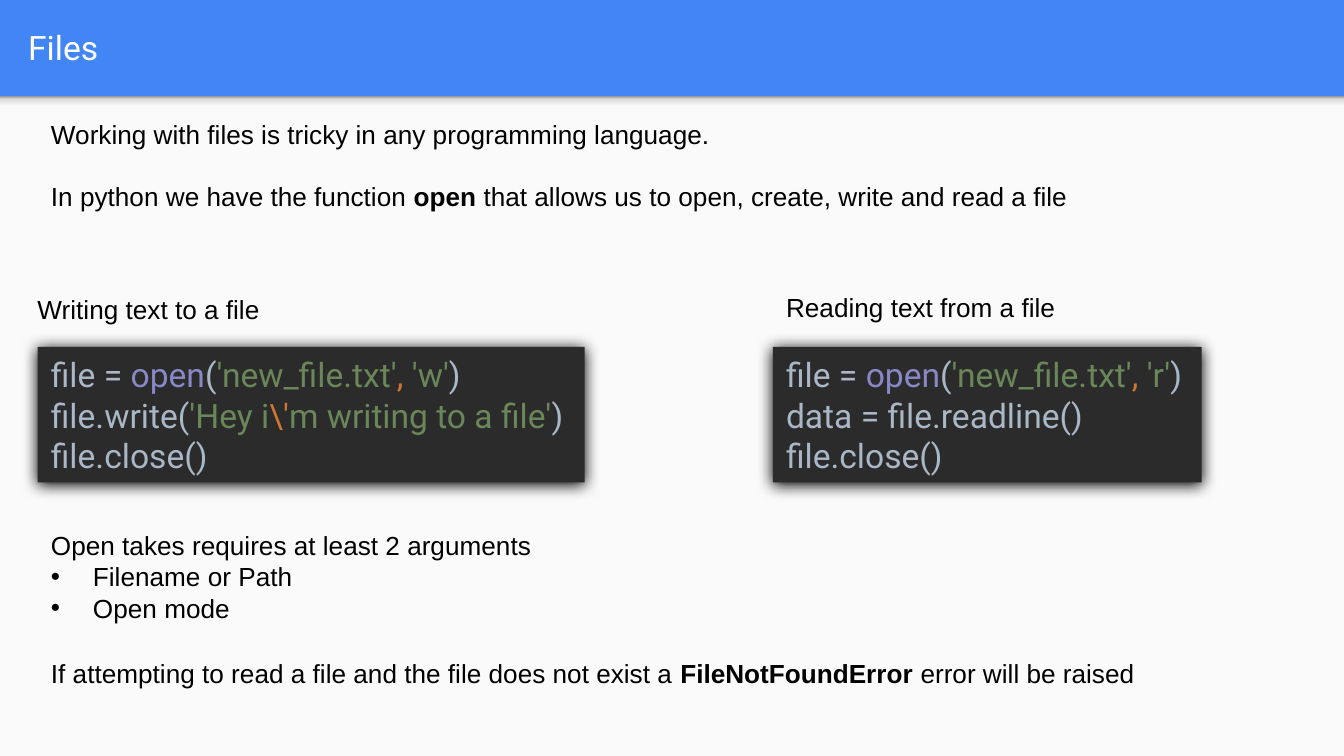
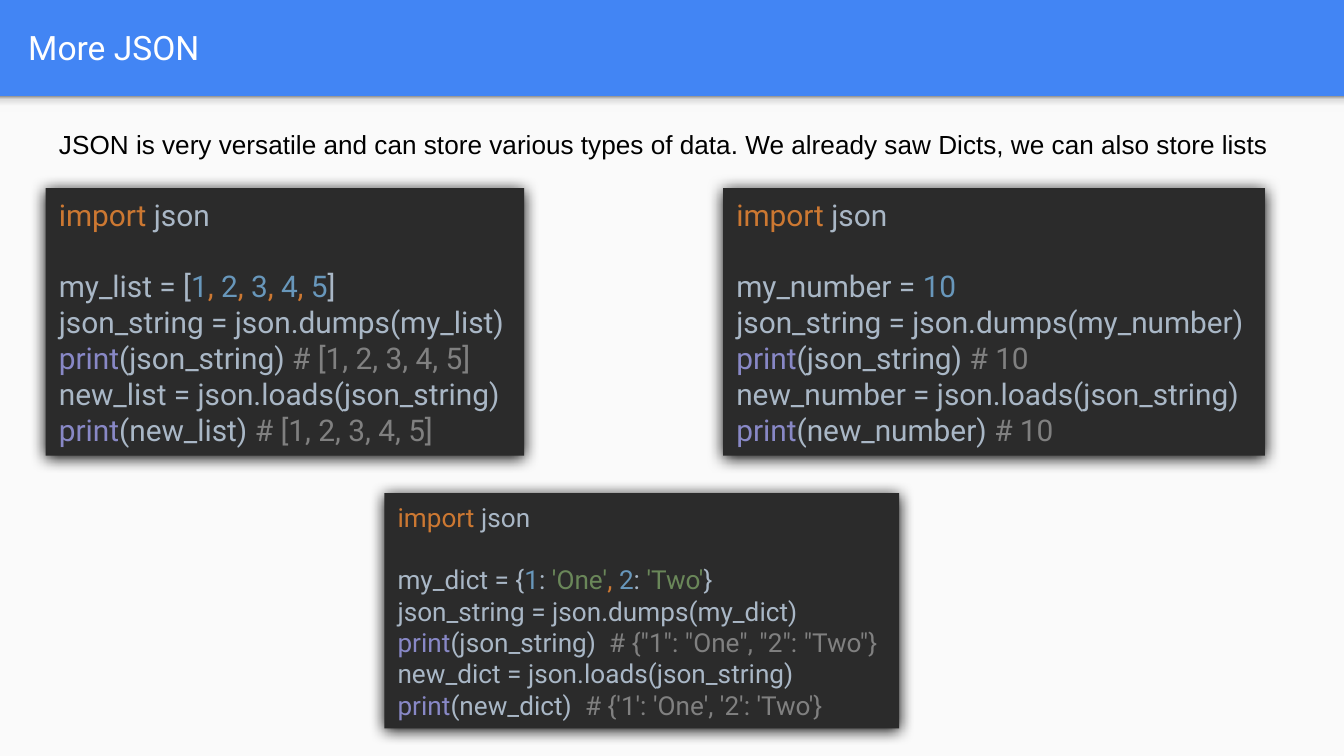
import pptx
import pptx.util
import pptx.dml.color
import pptx.enum.shapes
import pptx.enum.text
import pptx.oxml
from pptx.oxml.ns import nsdecls, qn

Pt = pptx.util.Pt
ANCHOR = pptx.enum.text.MSO_ANCHOR
FIT = pptx.enum.text.MSO_AUTO_SIZE.SHAPE_TO_FIT_TEXT

COLORS = {
    "band": "4285F4", "page": "FAFAFA", "white": "FFFFFF", "black": "000000",
    "code": "2B2B2B", "plain": "A9B7C6", "call": "8888C6", "text": "6A8759",
    "key": "CC7832", "num": "6897BB", "note": "808080",
}
EDGE = [(0, "F9F9F9"), (36, "F9F9F9"), (80, "DEDEDE"), (100, "999999")]
WIDE, HIGH, TOP = 720, 405, 51.6
BODY, CODE = "Arial", "Roboto"


def start(mode):
    """Tokens of the line that opens the file."""
    return [("plain", "file = "), ("call", "open"), ("plain", "("),
            ("text", "'new_file.txt'"), ("key", ", "), ("text", f"'{mode}'")]


def dump(kind, value, notes, gap=" "):
    """Paragraphs of the program that stores a value as JSON and loads it."""
    first, last = notes
    return [
        [("key", "import "), ("plain", "json")],
        [("plain", f"my_{kind} = "), *value,
         ("plain", f"\njson_string = json.dumps(my_{kind})\n"),
         ("call", "print"), ("plain", "(json_string)" + gap), ("note", first + "\n"),
         ("plain", f"new_{kind} = json.loads(json_string)\n"),
         ("call", "print"), ("plain", f"(new_{kind})" + gap), ("note", last)],
    ]


WRITE = [start("w") + [
    ("plain", ")\nfile.write("), ("text", "'Hey i"), ("key", "\\'"),
    ("text", "m writing to a file'"), ("plain", ")\nfile.close()")]]
READ = [start("r") + [("plain", ")\ndata = file.readline()\nfile.close()")]]

ITEMS = [("num", "1")]
for digit in "2345":
    ITEMS += [("key", ", "), ("num", digit)]
LIST = [("plain", "["), *ITEMS, ("plain", "]")]
DICT = [("plain", "{"), ("num", "1"), ("plain", ": "), ("text", "'One'"), ("key", ", "),
        ("num", "2"), ("plain", ": "), ("text", "'Two'"), ("plain", "}")]

# Texts: box, paragraphs (** marks bold, "• " a bullet), space between paragraphs
# Codes: box, font size, paragraphs
SLIDES = [
    {
        "title": "Files",
        "texts": [
            ((20.2, 59.8, 654.5, 108.7),
             ["Working with files is tricky in any programming language.",
              "In python we have the function **open** that allows us to open, "
              "create, write and read a file"], 16.5),
            ((20.2, 280.1, 641.5, 58.3),
             ["Open takes requires at least 2 arguments",
              "• Filename or Path", "• Open mode"], 0),
            ((20.2, 348.5, 654.5, 24.5),
             ["If attempting to read a file and the file does not exist a "
              "**FileNotFoundError **error will be raised"], 0),
            ((13, 153.4, 254.2, 24.5), ["Writing text to a file"], 0),
            ((414, 152.6, 229.7, 24.5), ["Reading text from a file"], 0),
        ],
        "codes": [((20.2, 185.8, 293, 72.7), 18, WRITE),
                  ((414, 185.8, 229.7, 72.7), 18, READ)],
    },
    {
        "title": "More JSON",
        "texts": [
            ((24.5, 65.5, 666, 24.5),
             ["JSON is very versatile and can store various types of data. "
              "We already saw Dicts, we can also store lists"], 0),
        ],
        "codes": [
            ((24.5, 100.8, 256.3, 143.3), 16,
             dump("list", LIST, ["# [1, 2, 3, 4, 5]"] * 2)),
            ((387.4, 100.8, 290.2, 143.3), 16,
             dump("number", [("num", "10")], ["# 10"] * 2)),
            ((205.9, 264.2, 275.8, 126), 14,
             dump("dict", DICT, ['# {"1": "One", "2": "Two"}',
                                 "# {'1': 'One', '2': 'Two'}"], "  ")),
        ],
    },
]


def rgb(name):
    return pptx.dml.color.RGBColor.from_string(COLORS[name])


def xml(tag, body):
    """Parse one drawing element: its tag with attributes, then its content."""
    name = tag.split()[0]
    return pptx.oxml.parse_xml(f"<a:{tag} {nsdecls('a')}>{body}</a:{name}>")


def tint(value):
    return f'<a:srgbClr val="{value}"/>'


def write(par, text, font, size, color, bold=None):
    """Add text as runs, with a line break at each newline."""
    for row, part in enumerate(text.split("\n")):
        if row:
            par.add_line_break()
        if part:
            run = par.add_run()
            run.text = part
            run.font.name, run.font.size, run.font.bold = font, Pt(size), bold
            run.font.color.rgb = rgb(color)


def pars(frame, count, gap):
    """Give a frame its paragraphs, spaced by gap."""
    for num in range(count):
        par = frame.add_paragraph() if num else frame.paragraphs[0]
        par.alignment = pptx.enum.text.PP_ALIGN.LEFT
        if num and gap:
            par.space_before = Pt(gap)
        yield par


def block(slide, box, color):
    shape = slide.shapes.add_shape(
        pptx.enum.shapes.MSO_SHAPE.RECTANGLE, *map(Pt, box))
    shape.fill.solid()
    shape.fill.fore_color.rgb = rgb(color)
    shape.line.fill.background()
    shape.shadow.inherit = False
    return shape


def frame(slide, title):
    """Add the page, the shaded edge under the band, and the title."""
    block(slide, (0, TOP, WIDE, HIGH - TOP), "page")
    edge = block(slide, (0, TOP, WIDE, 8.6), "page")
    stops = "".join(f'<a:gs pos="{at * 1000}">{tint(value)}</a:gs>' for at, value in EDGE)
    props = edge.element.spPr
    props.replace(props.find(qn("a:solidFill")), xml(
        "gradFill", f'<a:gsLst>{stops}</a:gsLst><a:lin ang="16200000" scaled="0"/>'))

    head = slide.shapes.title
    head.left, head.top, head.width, head.height = map(Pt, (7.9, 1.4, 694.8, 47.5))
    area = head.text_frame
    area.margin_left = area.margin_right = area.margin_top = area.margin_bottom = Pt(7.2)
    area.vertical_anchor = ANCHOR.MIDDLE
    area.auto_size = pptx.enum.text.MSO_AUTO_SIZE.NONE
    for par in pars(area, 1, 0):
        write(par, title, CODE, 18, "white")


def note(slide, box, lines, gap):
    """Add a text box of body text."""
    area = slide.shapes.add_textbox(*map(Pt, box)).text_frame
    area.word_wrap = True
    area.auto_size = FIT
    for par, line in zip(pars(area, len(lines), gap), lines):
        if line.startswith("• "):
            line = line[2:]
            props = par._p.get_or_add_pPr()
            props.set("marL", str(Pt(22.5)))
            props.set("indent", str(-Pt(22.5)))
            props.append(xml("buClr", tint(COLORS["black"])))
            props.append(xml('buFont typeface="Arial"', ""))
            props.append(xml('buChar char="•"', ""))
        for num, part in enumerate(line.split("**")):
            write(par, part, BODY, 14, "black", num % 2 == 1)


def code(slide, box, size, lines):
    """Add a dark panel of coloured code with a soft shadow."""
    panel = block(slide, box, "code")
    panel.element.spPr.find(qn("a:effectLst")).append(xml(
        f'outerShdw blurRad="{Pt(8.5)}" dist="{Pt(1)}" dir="5400000" '
        'algn="t" rotWithShape="0"', tint(COLORS["black"])))
    area = panel.text_frame
    area.word_wrap = False
    area.auto_size = FIT
    area.vertical_anchor = ANCHOR.MIDDLE
    for par, line in zip(pars(area, len(lines), 1.2 * size), lines):
        for color, text in line:
            write(par, text, CODE, size, color)


def main():
    deck = pptx.Presentation()
    deck.slide_width, deck.slide_height = Pt(WIDE), Pt(HIGH)
    back = deck.slide_master.background.fill
    back.solid()
    back.fore_color.rgb = rgb("band")
    for data in SLIDES:
        slide = deck.slides.add_slide(deck.slide_layouts[5])
        frame(slide, data["title"])
        for item in data["texts"]:
            note(slide, *item)
        for item in data["codes"]:
            code(slide, *item)
    deck.save("out.pptx")


if __name__ == "__main__":
    main()
